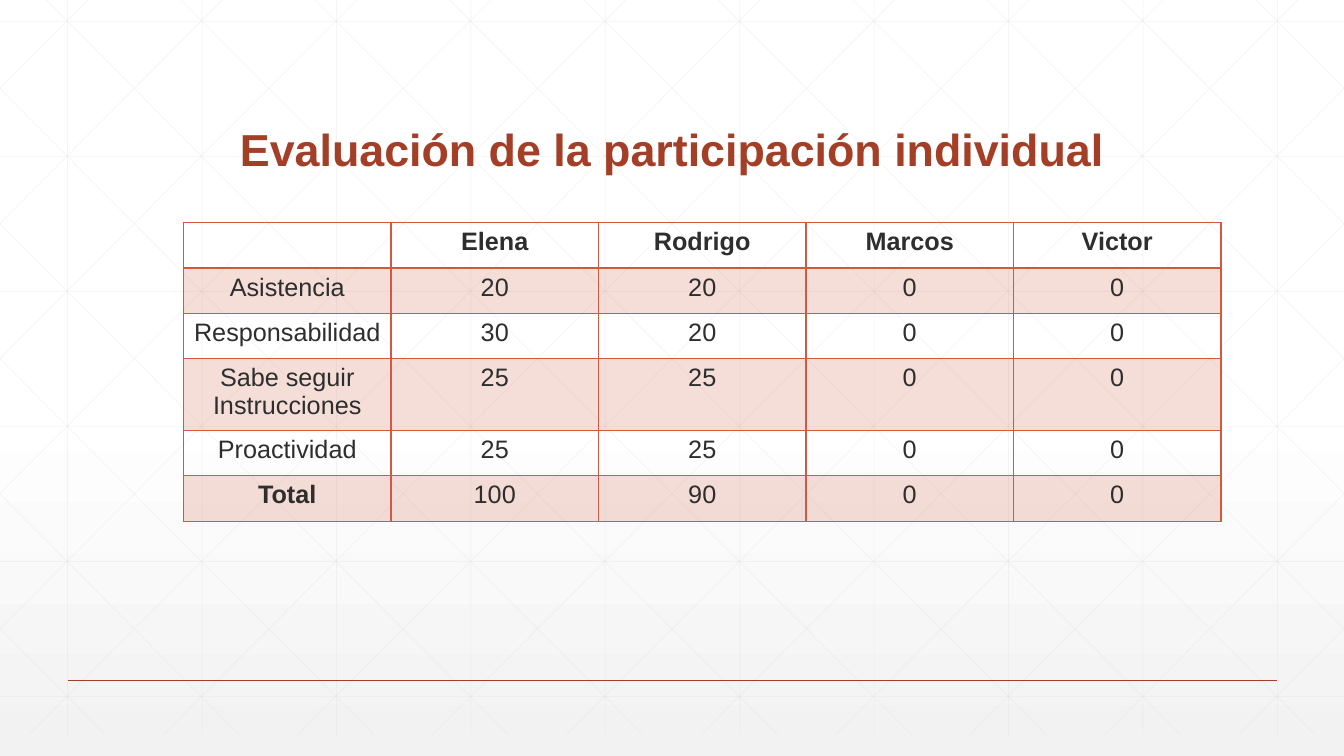
import copy
from typing import Iterator, NamedTuple

import lxml.etree
import pptx
import pptx.dml.color
import pptx.enum.shapes
import pptx.enum.text
import pptx.oxml.ns
import pptx.util

Inches = pptx.util.Inches
RGBColor = pptx.dml.color.RGBColor
qualified = pptx.oxml.ns.qn

WHITE = RGBColor(0xFF, 0xFF, 0xFF)
PALE_GRAY = RGBColor(0xF2, 0xF2, 0xF2)
GRID_GRAY = RGBColor(0xD9, 0xD9, 0xD9)
RUST = RGBColor(0xA4, 0x3F, 0x27)
CORAL = RGBColor(0xD1, 0x5A, 0x3E)
CHARCOAL = RGBColor(0x2D, 0x2E, 0x2D)

FONT = "Arial"
WIDTH, HEIGHT = 13.33, 7.5
GRID_TOP, GRID_BOTTOM = -0.21, 7.29
GRID_PITCH = 4 / 3
DIAGONAL_RUN = 7.46
DIAGONAL_START = 0.25


class Line(NamedTuple):
    start_x: float
    start_y: float
    end_x: float
    end_y: float


class Score(NamedTuple):
    criterion: str
    points: tuple[int, ...]


MEMBERS = ("Elena", "Rodrigo", "Marcos", "Victor")
SCORES = (
    Score("Asistencia", (20, 20, 0, 0)),
    Score("Responsabilidad", (30, 20, 0, 0)),
    Score("Sabe seguir Instrucciones", (25, 25, 0, 0)),
    Score("Proactividad", (25, 25, 0, 0)),
    Score("Total", (100, 90, 0, 0)),
)
ROW_HEIGHTS = (0.45, 0.45, 0.45, 0.71, 0.45, 0.45)


def grid_lines() -> Iterator[Line]:
    for index in range(10):
        x = 0.67 + index * GRID_PITCH
        yield Line(x, GRID_TOP, x, GRID_BOTTOM)
    for index in range(6):
        y = 0.21 + index * 1.34
        yield Line(0, y, WIDTH, y)
    slope = (GRID_BOTTOM - GRID_TOP) / DIAGONAL_RUN
    for index in range(-5, 10):
        top_x = DIAGONAL_START + index * GRID_PITCH
        left, right = max(top_x, 0), min(top_x + DIAGONAL_RUN, WIDTH)
        left_y = GRID_TOP + (left - top_x) * slope
        right_y = GRID_TOP + (right - top_x) * slope
        yield Line(left, left_y, right, right_y)
        yield Line(WIDTH - left, left_y, WIDTH - right, right_y)


def set_alpha(color_parent, percent: int) -> None:
    color = color_parent.find(".//" + qualified("a:srgbClr"))
    lxml.etree.SubElement(color, qualified("a:alpha"), val=str(percent * 1000))


def draw_line(shapes, line: Line, color: RGBColor, points: float):
    connector = shapes.add_connector(
        pptx.enum.shapes.MSO_CONNECTOR.STRAIGHT, *(Inches(value) for value in line)
    )
    connector.line.color.rgb = color
    connector.line.width = pptx.util.Pt(points)
    properties = connector.element.find(qualified("p:spPr"))
    lxml.etree.SubElement(properties, qualified("a:effectLst"))
    return connector


def paint_background(slide) -> None:
    fill = slide.background.fill
    fill.gradient()
    fill.gradient_angle = 270
    middle, last = fill.gradient_stops
    middle.color.rgb, middle.position = WHITE, 0.53
    last.color.rgb, last.position = PALE_GRAY, 1
    stops = slide.element.find(".//" + qualified("a:gsLst"))
    first = copy.deepcopy(stops[0])
    first.set("pos", "0")
    stops.insert(0, first)


def draw_borders(cell, bottom_points: int) -> None:
    properties = cell._tc.get_or_add_tcPr()
    for side, points in (("L", 1), ("R", 1), ("T", 1), ("B", bottom_points)):
        border = lxml.etree.SubElement(
            properties, qualified("a:ln" + side), w=str(pptx.util.Pt(points))
        )
        fill = lxml.etree.SubElement(border, qualified("a:solidFill"))
        lxml.etree.SubElement(fill, qualified("a:srgbClr"), val=str(CORAL))


def style_text(para, size: int, color: RGBColor, bold: bool) -> None:
    para.alignment = pptx.enum.text.PP_ALIGN.CENTER
    para.font.name = FONT
    para.font.size = pptx.util.Pt(size)
    para.font.bold = bold
    para.font.color.rgb = color


def fill_cell(cell, text: str, bold: bool, header: bool, shaded: bool) -> None:
    cell.text = text
    style_text(cell.text_frame.paragraphs[0], 18, CHARCOAL, bold)
    draw_borders(cell, 2 if header else 1)
    if shaded:
        cell.fill.solid()
        cell.fill.fore_color.rgb = CORAL
        set_alpha(cell._tc.tcPr.find(qualified("a:solidFill")), 20)
    else:
        cell.fill.background()


def draw_scores(slide) -> None:
    rows = [("", *MEMBERS)]
    rows += [(score.criterion, *map(str, score.points)) for score in SCORES]
    table = slide.shapes.add_table(
        len(rows), len(rows[0]),
        Inches(1.82), Inches(2.21), Inches(10.29), Inches(sum(ROW_HEIGHTS)),
    ).table
    table.first_row = False
    table.horz_banding = False
    for row_index, texts in enumerate(rows):
        table.rows[row_index].height = Inches(ROW_HEIGHTS[row_index])
        for column_index, text in enumerate(texts):
            header = row_index == 0
            bold = header or text == "Total"
            fill_cell(
                table.cell(row_index, column_index), text, bold, header,
                row_index % 2 == 1,
            )


def draw_title(slide) -> None:
    title = slide.shapes.title
    title.left, title.top = Inches(1.42), Inches(0.55)
    title.width, title.height = Inches(10.5), Inches(1.25)
    frame = title.text_frame
    frame.text = "Evaluación de la participación individual"
    frame.word_wrap = True
    frame.vertical_anchor = pptx.enum.text.MSO_ANCHOR.BOTTOM
    para = frame.paragraphs[0]
    para.line_spacing = 0.9
    style_text(para, 32, RUST, True)
    slide.shapes.element.append(title.element)


deck = pptx.Presentation()
deck.slide_width, deck.slide_height = Inches(WIDTH), Inches(HEIGHT)
page = deck.slides.add_slide(deck.slide_layouts.get_by_name("Title Only"))
paint_background(page)
grid = page.shapes.add_group_shape()
for grid_line in grid_lines():
    set_alpha(draw_line(grid.shapes, grid_line, GRID_GRAY, 0.5).element, 25)
draw_line(page.shapes, Line(0.67, 6.75, 12.67, 6.75), RUST, 1)
draw_title(page)
draw_scores(page)
deck.save("out.pptx")
